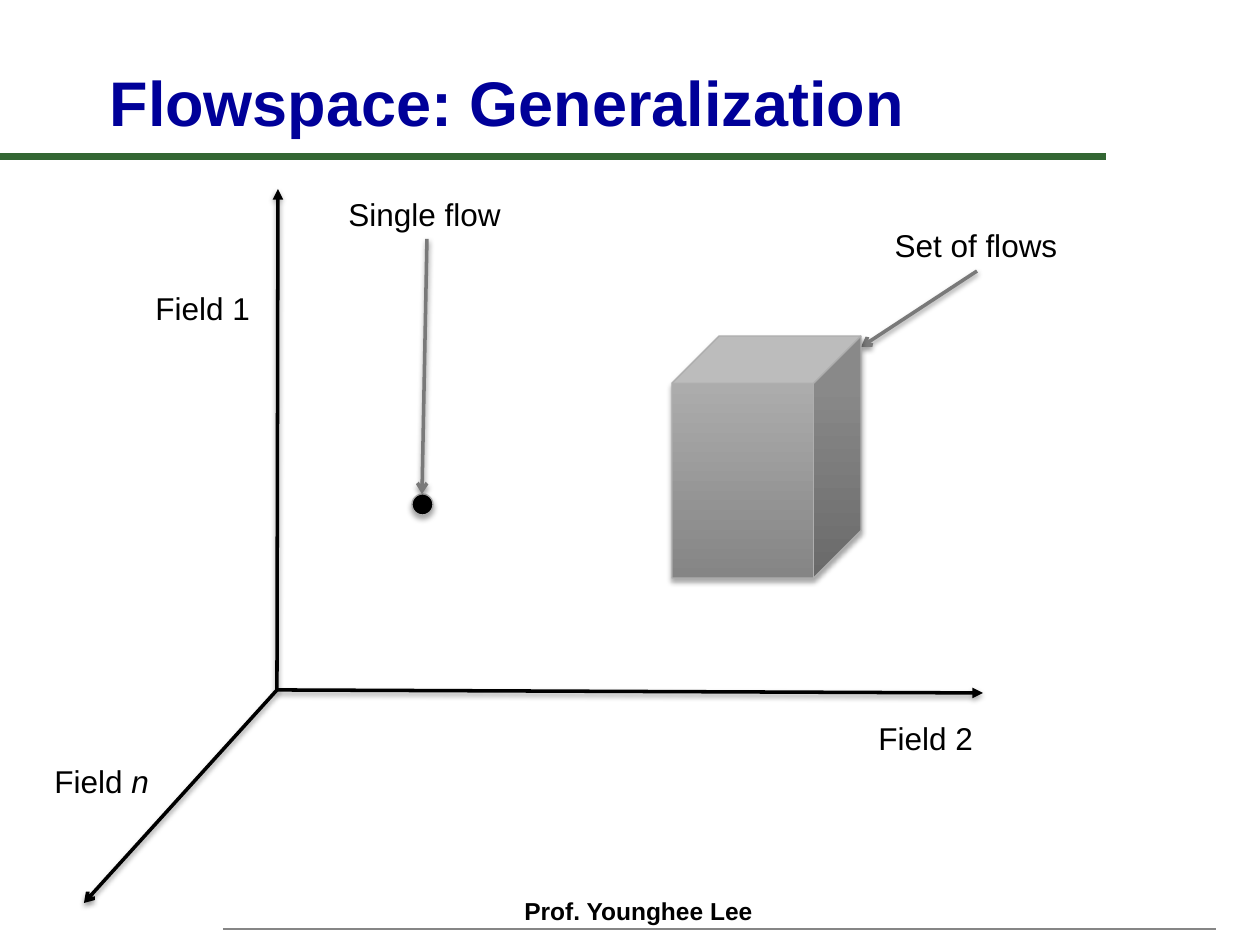
from pptx import Presentation
from pptx.dml.color import RGBColor
from pptx.enum.shapes import MSO_CONNECTOR, MSO_SHAPE
from pptx.enum.text import MSO_ANCHOR, MSO_AUTO_SIZE, PP_ALIGN
from pptx.oxml.ns import qn
from pptx.util import Pt
from lxml.etree import SubElement

PX = 914400 / 126
FONT = "Arial"
HEX = {
    "navy": "000099", "green": "336633", "rule": "868686", "black": "000000",
    "gray": "797979", "edge": "AEAEAE", "dark": "858585", "light": "ACACAC",
}

TITLE = ("Flowspace: Generalization", (97, 55, 1027, 90))
FOOT = ("Prof. Younghee Lee", (512, 890, 262, 42))
LABELS = [
    ([("Field 2", False)], (866, 713, 121, 50), False),
    ([("Field 1", False)], (143, 283, 121, 50), False),
    ([("Single flow", False)], (336, 189, 181, 50), False),
    ([("Set of flows", False)], (850, 220, 252, 50), True),
    ([("Field ", False), ("n", True)], (42, 756, 127, 50), False),
]
RULES = [
    ((0, 157), (1106, 157), "green", 4),
    ((223, 929), (1216, 929), "rule", 1),
]
AXES = [(278, 189), (277, 690), (983, 693)]
ARROWS = [
    ((427, 239), (422, 494), "gray"),
    ((977, 271), (861, 347), "gray"),
    ((277, 690), (84, 903), "black"),
]
DOT = (412, 494, 21, 21)
CUBE = (672, 336, 189, 242)


def emu(nums):
    return [round(n * PX) for n in nums]


def color(name):
    return RGBColor.from_string(HEX[name])


def shade(shape, alpha=0, dist=0):
    props = shape._element.spPr
    for old in props.findall(qn("a:effectLst")):
        props.remove(old)
    effects = SubElement(props, qn("a:effectLst"))
    if alpha:
        cast = SubElement(effects, qn("a:outerShdw"), blurRad=str(Pt(3.1)),
                          dist=str(Pt(dist)), dir="5400000", rotWithShape="0")
        tint = SubElement(cast, qn("a:srgbClr"), val=HEX["black"])
        SubElement(tint, qn("a:alpha"), val=str(alpha * 1000))


def stroke(shape, name, width, head=None, tail=None):
    shape.line.color.rgb = color(name)
    shape.line.width = Pt(width)
    for tag, kind in (("a:headEnd", head), ("a:tailEnd", tail)):
        if kind:
            SubElement(shape.line._ln, qn(tag), type=kind)


def link(start, end, name, width, tail=None):
    line = slide.shapes.add_connector(
        MSO_CONNECTOR.STRAIGHT, *emu(start), *emu(end))
    stroke(line, name, width, tail=tail)
    shade(line, 38 if tail else 0, 1.6)


def write(para, text, size, name="black", bold=False, italic=False):
    run = para.add_run()
    run.text = text
    font = run.font
    font.name, font.size, font.bold, font.italic = FONT, Pt(size), bold, italic
    font.color.rgb = color(name)


def label(box, wrap):
    frame = slide.shapes.add_textbox(*emu(box)).text_frame
    frame.word_wrap = wrap
    frame.auto_size = MSO_AUTO_SIZE.SHAPE_TO_FIT_TEXT
    return frame.paragraphs[0]


def solid(kind, box):
    shape = slide.shapes.add_shape(kind, *emu(box))
    stroke(shape, "edge", 0.75)
    return shape


deck = Presentation()
deck.slide_width, deck.slide_height = emu((1260, 945))
slide = deck.slides.add_slide(deck.slide_layouts[5])

for start, end, name, width in RULES:
    link(start, end, name, width)
write(label(FOOT[1], True), FOOT[0], 14, bold=True)

title = slide.shapes.title
title.left, title.top, title.width, title.height = emu(TITLE[1])
frame = title.text_frame
frame.vertical_anchor = MSO_ANCHOR.BOTTOM
frame.auto_size = MSO_AUTO_SIZE.NONE
frame.paragraphs[0].alignment = PP_ALIGN.LEFT
write(frame.paragraphs[0], TITLE[0], 36, "navy", bold=True)

pen = slide.shapes.build_freeform(*AXES[0], scale=PX)
pen.add_line_segments(AXES[1:], close=False)
axes = pen.convert_to_shape()
axes.fill.background()
stroke(axes, "black", 2, "triangle", "triangle")
shade(axes, 38, 1.6)

for runs, box, mid in LABELS:
    para = label(box, mid)
    if mid:
        para.alignment = PP_ALIGN.CENTER
    for text, italic in runs:
        write(para, text, 18, italic=italic)

dot = solid(MSO_SHAPE.OVAL, DOT)
dot.fill.solid()
dot.fill.fore_color.rgb = color("black")
shade(dot, 35, 1.8)

for start, end, name in ARROWS:
    link(start, end, name, 2, "arrow")

cube = solid(MSO_SHAPE.CUBE, CUBE)
cube.fill.gradient()
cube.fill.gradient_angle = 90
for stop, name, pos in zip(cube.fill.gradient_stops, ("dark", "light"), (0, 0.8)):
    stop.color.rgb = color(name)
    stop.position = pos
shade(cube, 35, 1.8)

deck.save("out.pptx")
